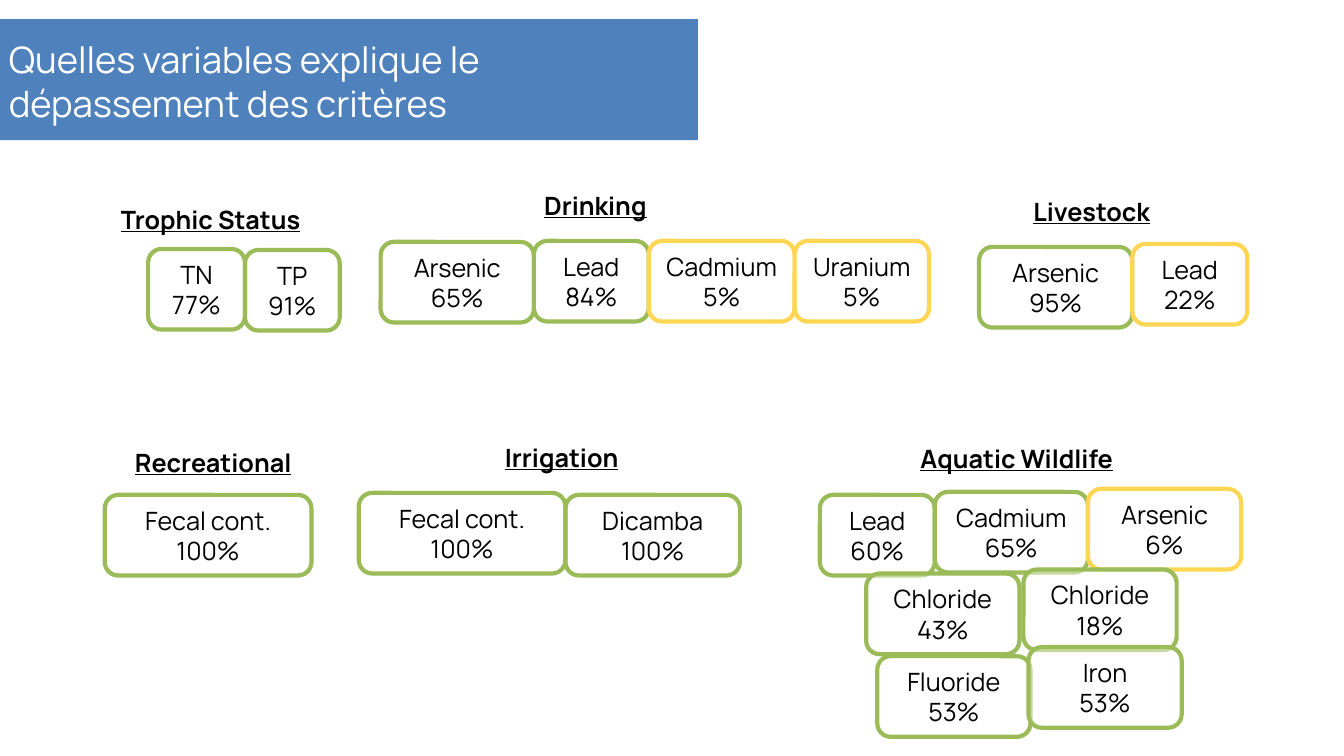
from pptx import Presentation
from pptx.dml.color import RGBColor as RGB
from pptx.enum.shapes import MSO_SHAPE as SHAPE
from pptx.enum.text import MSO_AUTO_SIZE as FIT, PP_ALIGN as ALIGN
from pptx.oxml.ns import qn
from pptx.util import Inches, Pt
from lxml.etree import SubElement

COLORS = {"white": "FFFFFF", "black": "000000", "band": "4F81BD",
          "green": "9BBB59", "yellow": "FFD653"}
COLS, ROWS = 40, 30
CHIP_ROWS, HEADING_ROWS = 3.2, 1.64

HEADINGS = [
    ("Trophic Status", 3.3, 7.92, 7.8),
    ("Drinking", 15.9, 7.36, 4.83),
    ("Livestock", 30.46, 7.6, 5.4),
    ("Recreational", 3.72, 17.56, 6.96),
    ("Irrigation", 14.73, 17.36, 5.19),
    ("Aquatic Wildlife", 27.1, 17.4, 8.61),
]

STRIPS = [
    (4.41, [("TN", "77%", 9.88, 2.88, "green"),
            ("TP", "91%", 9.92, 2.82, "green")]),
    (11.33, [("Arsenic", "65%", 9.6, 4.56, "green"),
             ("Lead", "84%", 9.56, 3.42, "green"),
             ("Cadmium", "5%", 9.56, 4.34, "yellow"),
             ("Uranium", "5%", 9.56, 4, "yellow")]),
    (29.14, [("Arsenic", "95%", 9.8, 4.56, "green"),
             ("Lead", "22%", 9.68, 3.42, "yellow")]),
    (3.12, [("Fecal cont.", "100%", 19.64, 6.15, "green")]),
    (10.68, [("Fecal cont.", "100%", 19.56, 6.15, "green"),
             ("Dicamba", "100%", 19.64, 5.19, "green")]),
    (24.4, [("Lead", "60%", 19.64, 3.42, "green"),
            ("Cadmium", "65%", 19.52, 4.56, "green"),
            ("Arsenic", "6%", 19.4, 4.56, "yellow")]),
    (30.46, [("Chloride", "18%", 22.6, 4.56, "green")]),
    (25.78, [("Chloride", "43%", 22.76, 4.56, "green")]),
    (26.11, [("Fluoride", "53%", 26.04, 4.56, "green")]),
    (30.61, [("Iron", "53%", 25.68, 4.56, "green")]),
]


class Board:
    """Draws styled elements on one slide, measured in grid columns and rows."""

    def __init__(self, prs, font="Manrope"):
        self.slide = prs.slides.add_slide(prs.slide_layouts[6])
        self.col = prs.slide_width / COLS
        self.row = prs.slide_height / ROWS
        self.font = font

    def place(self, x, y, w, h):
        return (round(x * self.col), round(y * self.row),
                round(w * self.col), round(h * self.row))

    def fill_text(self, sp, text, size=18, color="black", align=ALIGN.LEFT, strong=False):
        tf = sp.text_frame
        tf.word_wrap = True
        tf.auto_size = FIT.SHAPE_TO_FIT_TEXT
        tf.text = text
        for p in tf.paragraphs:
            p.alignment = align
            for r in p.runs:
                r.font.name = self.font
                r.font.size = Pt(size)
                r.font.bold = r.font.underline = strong
                r.font.color.rgb = RGB.from_string(COLORS[color])

    def shape(self, kind, box, fill):
        sp = self.slide.shapes.add_shape(kind, *self.place(*box))
        sp.shadow.inherit = False
        sp.fill.solid()
        sp.fill.fore_color.rgb = RGB.from_string(COLORS[fill])
        return sp

    def band(self, *box):
        self.shape(SHAPE.RECTANGLE, box, "band").line.fill.background()

    def text(self, text, *box, **style):
        sp = self.slide.shapes.add_textbox(*self.place(*box))
        self.fill_text(sp, text, **style)

    def chip(self, name, share, x, y, w, color):
        sp = self.shape(SHAPE.ROUNDED_RECTANGLE, (x, y, w, CHIP_ROWS), "white")
        clr = sp.element.spPr.find(qn("a:solidFill"))[0]
        SubElement(clr, qn("a:alpha"), val="43000")
        sp.line.color.rgb = RGB.from_string(COLORS[color])
        sp.line.width = Pt(3)
        self.fill_text(sp, f"{name}\n{share}", align=ALIGN.CENTER)

    def strip(self, x, chips):
        for name, share, y, w, color in chips:
            self.chip(name, share, x, y, w, color)
            x += w


def main():
    prs = Presentation()
    prs.slide_width, prs.slide_height = Inches(13.33), Inches(7.5)
    board = Board(prs)
    board.band(0, 0.76, 20.77, 4.8)
    board.text("Quelles variables explique le dépassement des critères",
               -0.03, 1.28, 21.4, 3.92, size=26, color="white")
    for heading, x, y, w in HEADINGS:
        board.text(heading, x, y, w, HEADING_ROWS, strong=True)
    for x, chips in STRIPS:
        board.strip(x, chips)
    prs.save("out.pptx")


if __name__ == "__main__":
    main()
